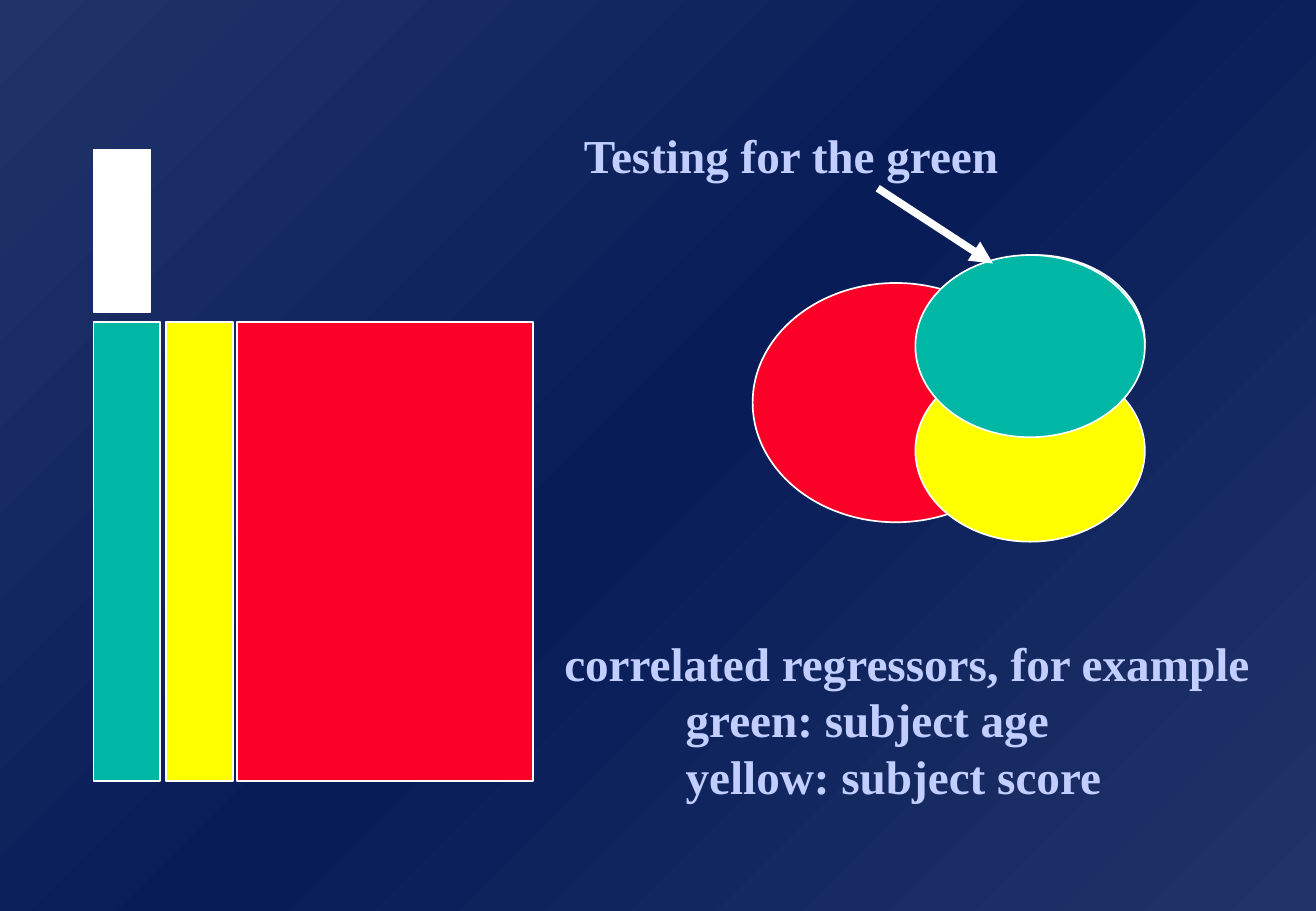
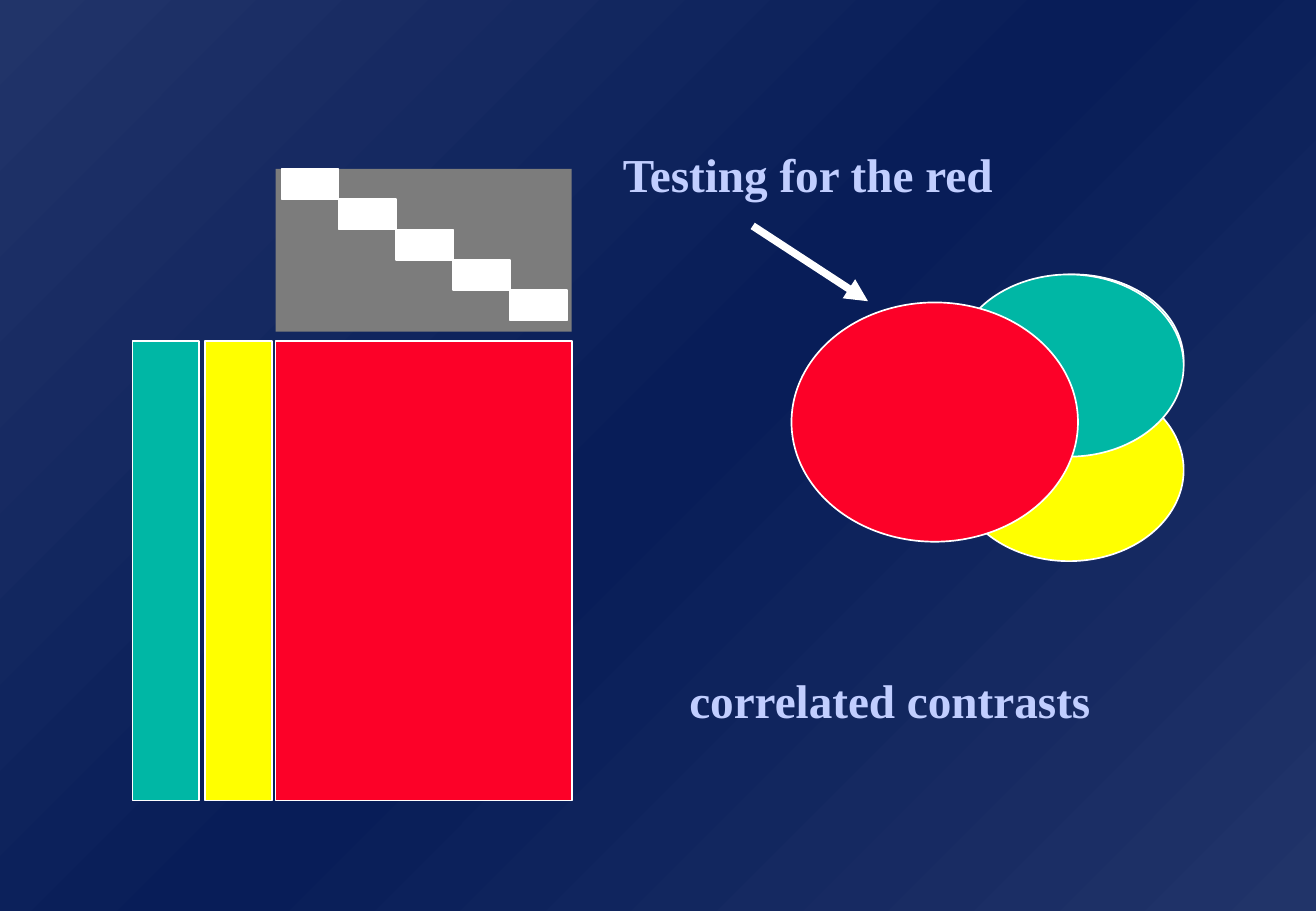
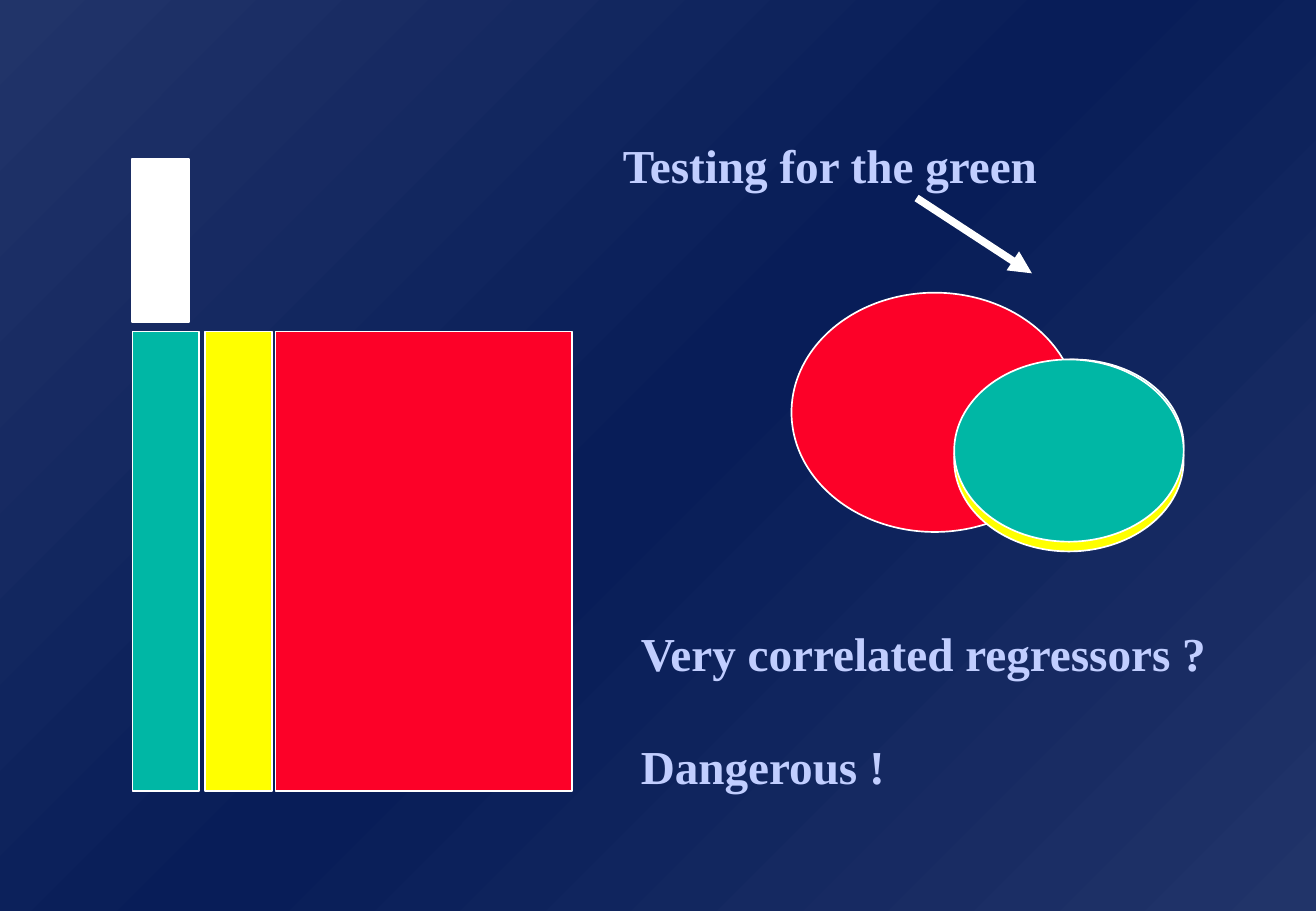
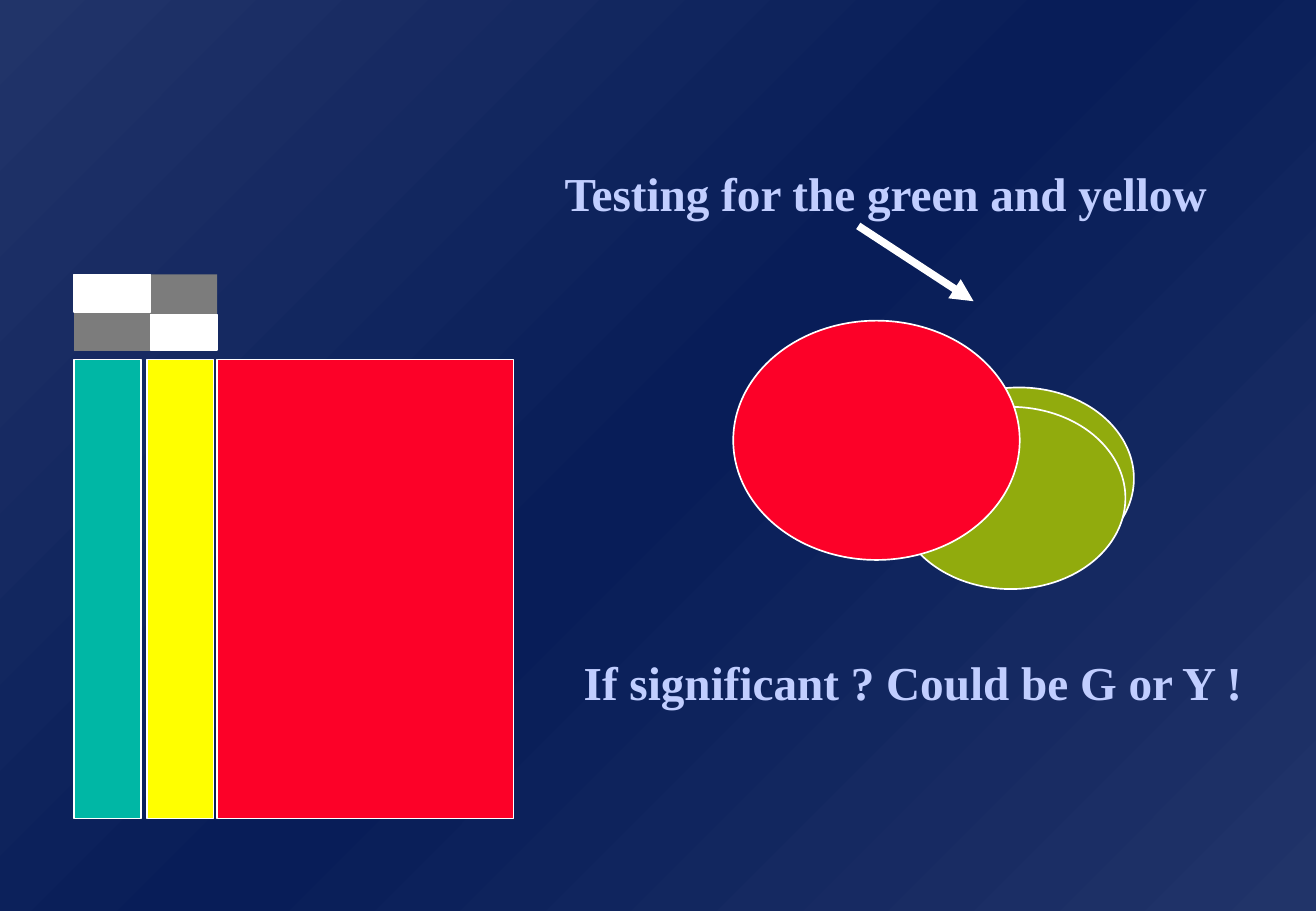
from collections import namedtuple
from copy import deepcopy
from dataclasses import dataclass

from lxml.etree import SubElement
from pptx import Presentation
from pptx.dml.color import RGBColor
from pptx.enum.shapes import MSO_CONNECTOR, MSO_SHAPE
from pptx.enum.text import MSO_ANCHOR, MSO_AUTO_SIZE, PP_ALIGN
from pptx.oxml.ns import qn
from pptx.util import Inches, Pt

Box = namedtuple("Box", "left top width height")


@dataclass(frozen=True)
class Theme:
    """Colours, type and line widths of the deck."""
    edge: str = "213469"
    centre: str = "081D58"
    text: str = "C1CEFF"
    white: str = "FFFFFF"
    grey: str = "7C7C7C"
    green: str = "00B7A5"
    yellow: str = "FFFF00"
    red: str = "FC0128"
    olive: str = "91AB0D"
    font: str = "Times New Roman"
    size: float = 28
    leading: float = 33.6
    outline: float = 1
    arrow: float = 4.5


THEME = Theme()
DESIGN_HEIGHT = 3.78
CONTRAST_HEIGHT = 1.34
CONTRAST_RISE = 1.42
RED_COLUMN = Box(1.18, 0, 2.44, DESIGN_HEIGHT)
RED_SIZE = (2.36, 1.97)
REGRESSOR_SIZE = (1.89, 1.5)
RIM_SIZE = (1.81, 1.42)


def inside(parent, left, top, width, height):
    """Return a box given relative to the corner of its parent."""
    return Box(parent.left + left, parent.top + top, width, height)


def paint_background(master):
    """Give the master the diagonal blue gradient."""
    fill = master.background.fill
    fill.gradient()
    fill.gradient_angle = 315
    stop_list = master.element.xpath("./p:cSld/p:bg//a:gsLst")[0]
    stop_list.insert(1, deepcopy(stop_list[0]))
    colours = (THEME.edge, THEME.centre, THEME.edge)
    for index, (stop, colour) in enumerate(zip(fill.gradient_stops, colours)):
        stop.position = index / 2
        stop.color.rgb = RGBColor.from_string(colour)
        for adjustment in list(stop_list[index][0]):
            stop_list[index][0].remove(adjustment)


def add_figure(slide, preset, box, colour, outlined=True):
    """Draw a filled preset shape, with a thin white outline by default."""
    figure = slide.shapes.add_shape(preset, *map(Inches, box))
    figure.shadow.inherit = False
    figure.fill.solid()
    figure.fill.fore_color.rgb = RGBColor.from_string(colour)
    if outlined:
        figure.line.color.rgb = RGBColor.from_string(THEME.white)
        figure.line.width = Pt(THEME.outline)
    else:
        figure.line.fill.background()


def write(holder, lines, box, size=THEME.size, colour=THEME.text, bold=True, indent=0, gap=0):
    """Place a text holder and fill it; indent and gap act after the first line."""
    holder.left, holder.top, holder.width, holder.height = map(Inches, box)
    frame = holder.text_frame
    frame.word_wrap = False
    frame.auto_size = MSO_AUTO_SIZE.SHAPE_TO_FIT_TEXT
    frame.vertical_anchor = MSO_ANCHOR.TOP
    for index, line in enumerate(lines):
        paragraph = frame.add_paragraph() if index else frame.paragraphs[0]
        paragraph.text = line
        paragraph.alignment = PP_ALIGN.LEFT
        paragraph.line_spacing = Pt(THEME.leading)
        paragraph.space_before = Pt(gap if index else 0)
        if index and indent:
            paragraph._p.get_or_add_pPr().set("marL", str(Inches(indent)))
        font = paragraph.font
        font.name, font.size, font.bold = THEME.font, Pt(size), bold
        font.color.rgb = RGBColor.from_string(colour)


def add_arrow(slide, origin, left, top):
    """Draw the thick white arrow that points at the tested effect."""
    start = inside(origin, left, top, 0.95, 0.62)
    arrow = slide.shapes.add_connector(
        MSO_CONNECTOR.STRAIGHT, Inches(start.left), Inches(start.top),
        Inches(start.left + start.width), Inches(start.top + start.height))
    arrow.line.color.rgb = RGBColor.from_string(THEME.white)
    arrow.line.width = Pt(THEME.arrow)
    SubElement(arrow.line._get_or_add_ln(), qn("a:tailEnd"), type="triangle")
    SubElement(arrow._element.spPr, qn("a:effectLst"))


def add_design(slide, origin):
    """Draw the design matrix: two single regressors and the red block."""
    columns = ((Box(0, 0, 0.55, DESIGN_HEIGHT), THEME.green),
               (RED_COLUMN, THEME.red),
               (Box(0.6, 0, 0.55, DESIGN_HEIGHT), THEME.yellow))
    for column, colour in columns:
        add_figure(slide, MSO_SHAPE.RECTANGLE, inside(origin, *column), colour)


def add_single_contrast(slide, origin):
    """Draw the white bar above the green regressor."""
    bar = inside(origin, 0, -CONTRAST_RISE, 0.47, CONTRAST_HEIGHT)
    add_figure(slide, MSO_SHAPE.RECTANGLE, bar, THEME.white)


def add_stair_contrast(slide, origin):
    """Draw the grey panel with five white diagonal steps."""
    panel = inside(origin, RED_COLUMN.left, -CONTRAST_RISE, RED_COLUMN.width, CONTRAST_HEIGHT)
    add_figure(slide, MSO_SHAPE.RECTANGLE, panel, THEME.grey, outlined=False)
    for step in range(5):
        tread = inside(panel, 0.05 + 0.47 * step, 0.25 * step, 0.47, 0.25)
        add_figure(slide, MSO_SHAPE.RECTANGLE, tread, THEME.white)


def add_pair_contrast(slide, origin):
    """Draw the two-by-two contrast above the green and yellow regressors."""
    panel = inside(origin, 0, -0.7, 1.18, 0.63)
    add_figure(slide, MSO_SHAPE.RECTANGLE, panel, THEME.grey, outlined=False)
    for cell in ((0, 0, 0.63, 0.31), (0.63, 0.33, 0.55, 0.29)):
        add_figure(slide, MSO_SHAPE.RECTANGLE, inside(panel, *cell), THEME.white)


def add_venn(slide, origin, layers):
    """Stack the overlapping ellipses, from back to front."""
    venn = inside(origin, 5.43, -0.32, *RED_SIZE)
    for left, top, size, colour in layers:
        add_figure(slide, MSO_SHAPE.OVAL, inside(venn, left, top, *size), colour)


def add_test_slide(deck, origin, heading, heading_width, note, note_box, add_contrast,
                   layers, arrow=(6.46, -1.1), **note_format):
    """Build one slide around the corner of its design matrix."""
    slide = deck.slides.add_slide(deck.slide_layouts.get_by_name("Title Only"))
    write(slide.shapes.title, [heading], inside(origin, 3.94, -1.66, heading_width, 0.57))
    add_contrast(slide, origin)
    add_design(slide, origin)
    add_venn(slide, origin, layers)
    add_arrow(slide, origin, *arrow)
    note_holder = slide.shapes.add_textbox(0, 0, 0, 0)
    write(note_holder, note, inside(origin, *note_box), **note_format)


def main():
    """Build the four slides and save the deck."""
    deck = Presentation()
    deck.slide_width, deck.slide_height = Inches(10.84), Inches(7.5)
    paint_background(deck.slide_master)

    red = (0, 0, RED_SIZE, THEME.red)
    yellow = (1.34, 0.63, REGRESSOR_SIZE, THEME.yellow)
    rim, green = (1.42, -0.23, RIM_SIZE, THEME.green), (1.34, -0.23, REGRESSOR_SIZE, THEME.green)
    low_rim, low_green = (1.42, 0.55, *rim[2:]), (1.34, 0.55, *green[2:])
    olives = [(left, top, REGRESSOR_SIZE, THEME.olive) for left, top in ((1.41, 0.55), (1.34, 0.71))]

    add_test_slide(
        deck, Box(0.77, 2.65, 0, 0), "Testing for the green", 3.66,
        ["correlated regressors, for example", "green: subject age", "yellow: subject score"],
        (3.78, 2.52, 5.87, 1.5), add_single_contrast, [rim, red, yellow, green], indent=1)
    add_test_slide(
        deck, Box(1.09, 2.81, 0, 0), "Testing for the red", 3.29,
        ["correlated contrasts"], (4.49, 2.67, 3.51, 0.57), add_stair_contrast,
        [rim, yellow, green, red], arrow=(5.11, -0.95))
    add_test_slide(
        deck, Box(1.09, 2.73, 0, 0), "Testing for the green", 3.66,
        ["Very correlated regressors ?", "Dangerous !"], (4.09, 2.36, 4.91, 1.5),
        add_single_contrast, [low_rim, red, yellow, low_green], gap=THEME.leading)
    add_test_slide(
        deck, Box(0.61, 2.96, 0, 0), "Testing for the green and yellow", 5.54,
        ["If significant ? Could be G or Y !"], (4.1, 2.37, 5.66, 0.57),
        add_pair_contrast, [*olives, red])
    deck.save("out.pptx")


if __name__ == "__main__":
    main()
